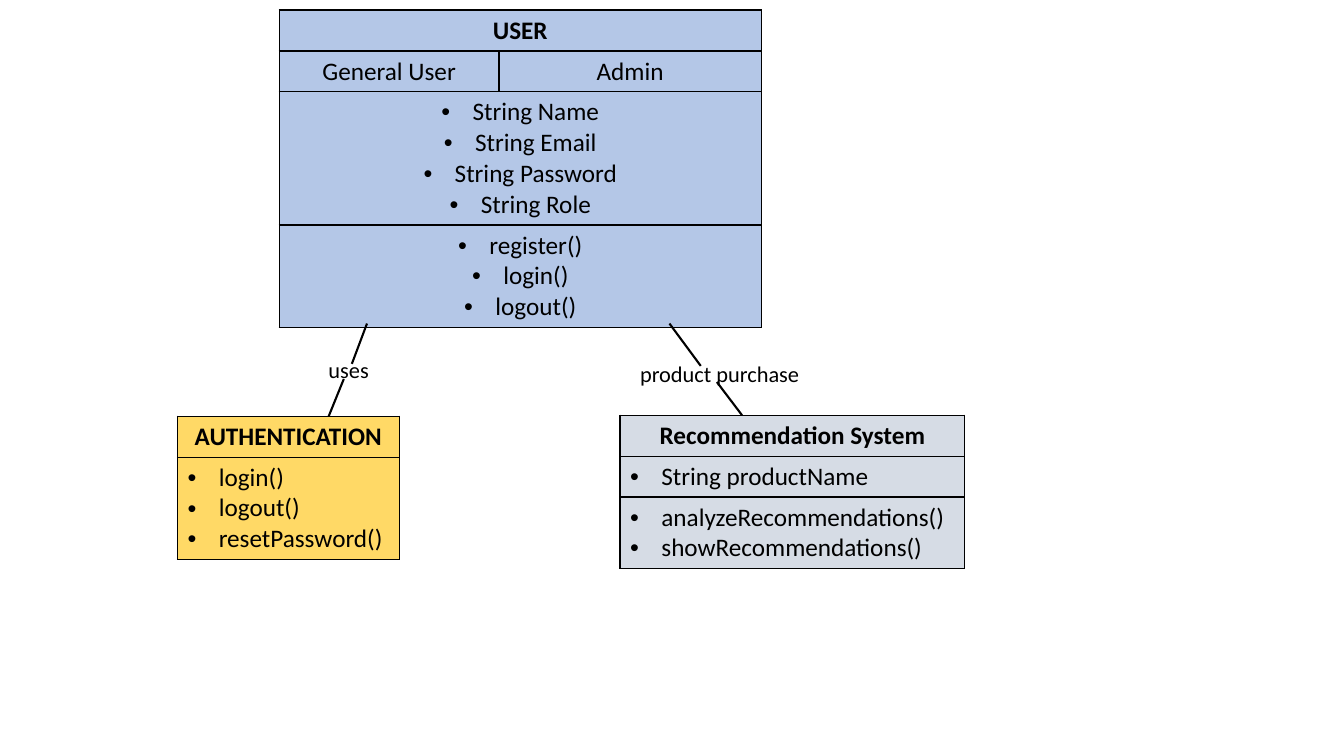
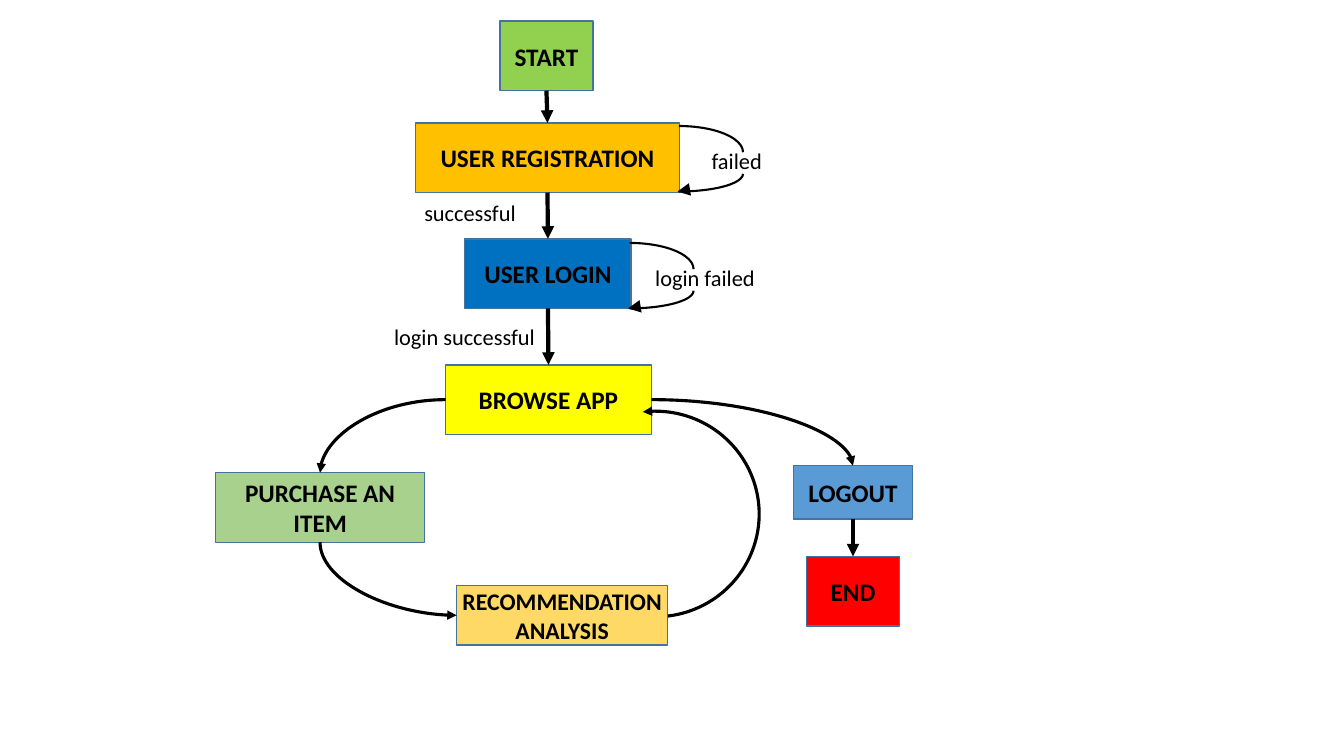
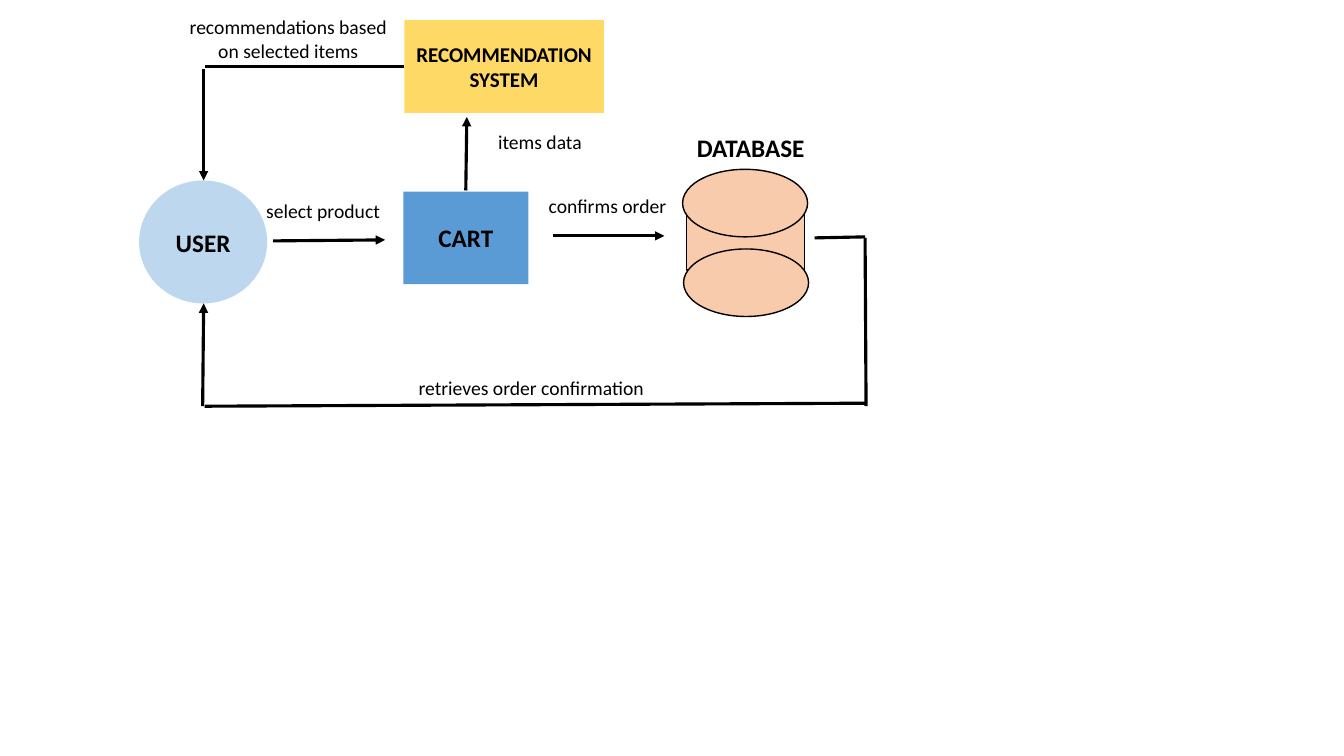
from dataclasses import dataclass

from lxml import etree
from pptx import Presentation
from pptx import util as u
from pptx.dml.color import RGBColor
from pptx.enum import shapes, text
from pptx.oxml.ns import qn


@dataclass(frozen=True)
class Theme:
    """Colours, type sizes and line weights shared by the slides."""
    font: str = "Calibri"
    ink: str = "000000"
    outline: str = "43739E"
    user: str = "B4C7E7"
    gold: str = "FFD966"
    grey: str = "D6DCE5"
    lime: str = "92D050"
    amber: str = "FFC000"
    navy: str = "0070C0"
    yellow: str = "FFFF00"
    green: str = "A9D18E"
    blue: str = "5B9BD5"
    red: str = "FF0000"
    pale: str = "BDD7EE"
    peach: str = "F8CBAD"
    heading: int = 18
    label: int = 16
    caption: int = 14
    thin: float = 1
    link: float = 1.5
    curve: float = 2.25
    arrow: float = 3


THEME = Theme()
LEFT, CENTER = text.PP_ALIGN.LEFT, text.PP_ALIGN.CENTER
RECT, OVAL = shapes.MSO_SHAPE.RECTANGLE, shapes.MSO_SHAPE.OVAL
TOP, WEST, BOTTOM, EAST = range(4)


def apply(target, values):
    """Set attributes of an object from a dict."""
    for name, value in values.items():
        setattr(target, name, value)


def child(parent, tag, **attributes):
    """Append an XML element with the given attributes."""
    return etree.SubElement(parent, qn(tag), attributes)


def write(frame, lines, size, bold=False, align=CENTER, bullets=False):
    """Fill a text frame with one paragraph per line."""
    for index, line in enumerate(lines):
        para = frame.paragraphs[0] if index == 0 else frame.add_paragraph()
        para.alignment = align
        span = para.add_run()
        span.text = line
        apply(span.font, {"name": THEME.font, "size": u.Pt(size), "bold": bold})
        span.font.color.rgb = RGBColor.from_string(THEME.ink)
        if bullets:
            props = para._p.get_or_add_pPr()
            indent = u.Inches(0.31)
            props.set("marL", str(indent))
            props.set("indent", str(-indent))
            child(props, "a:buFont", typeface="Arial")
            child(props, "a:buChar", char="•")


def stroke(shape, width, color=THEME.ink):
    """Give a shape or connector a solid line."""
    shape.line.color.rgb = RGBColor.from_string(color)
    shape.line.width = u.Pt(width)


def arrowhead(shape, end="tailEnd"):
    """Put a triangle on one end of a line."""
    child(shape.line._get_or_add_ln(), f"a:{end}", type="triangle")


def add_box(page, at, fill, lines=(), size=THEME.heading, kind=RECT, outline=None):
    """Add a filled shape with bold centred text."""
    box = page.shapes.add_shape(kind, *map(u.Inches, at))
    box.shadow.inherit = False
    box.fill.solid()
    box.fill.fore_color.rgb = RGBColor.from_string(fill)
    if outline:
        stroke(box, THEME.thin, outline)
    else:
        box.line.fill.background()
    apply(box.text_frame, {
        "word_wrap": True, "vertical_anchor": text.MSO_ANCHOR.MIDDLE,
        "margin_left": 0, "margin_right": 0, "margin_top": 0, "margin_bottom": 0})
    write(box.text_frame, lines, size, bold=True)
    return box


def add_label(page, at, *lines, size=THEME.label, bold=False, align=LEFT):
    """Add a free-standing caption."""
    box = page.shapes.add_textbox(*map(u.Inches, at))
    box.text_frame.word_wrap = True
    write(box.text_frame, lines, size, bold, align)


def add_line(page, start, end, width, head=False, kind=shapes.MSO_CONNECTOR.STRAIGHT):
    """Add a connector between two points."""
    line = page.shapes.add_connector(kind, *map(u.Inches, (*start, *end)))
    stroke(line, width)
    if head:
        arrowhead(line)
    child(line._element.spPr, "a:effectLst")
    return line


def add_flow(page, source, target):
    """Add an arrow from the bottom of one box to the top of the next."""
    line = add_line(page, (0, 0), (1, 1), THEME.arrow, head=True)
    line.begin_connect(source, BOTTOM)
    line.end_connect(target, TOP)


def add_turn(page, side_box, side, end_box, end_site, end="tailEnd"):
    """Add a quarter-turn arrow from the side of one box to an edge of another."""
    line = page.shapes.add_connector(shapes.MSO_CONNECTOR.CURVE, 0, 0, 1, 1)
    line.begin_connect(side_box, side)
    line.end_connect(end_box, end_site)
    line._element.spPr.find(qn("a:prstGeom")).set("prst", "curvedConnector2")
    stroke(line, THEME.curve)
    arrowhead(line, end)
    child(line._element.spPr, "a:effectLst")


def add_arc(page, at, start, sweep_end, width, flip=False):
    """Add an open arc between two angles in degrees."""
    arc = page.shapes.add_shape(shapes.MSO_SHAPE.ARC, *map(u.Inches, at))
    arc.shadow.inherit = False
    arc.fill.background()
    for index, angle in enumerate((start, sweep_end)):
        arc.adjustments[index] = angle * 0.6
    stroke(arc, width)
    if flip:
        arc._element.spPr.find(qn("a:xfrm")).set("flipV", "1")
    return arc


def add_retry(page, left, top, caption, caption_left):
    """Add a loop that returns to the side of a box, with its caption."""
    add_arc(page, (left, top, 1.27, 0.52), 270, 0, THEME.link)
    add_arc(page, (left, top + 0.3, 1.27, 0.35), 270, 0, THEME.link, flip=True)
    add_line(page, (left + 0.74, top + 0.63), (left + 0.62, top + 0.65),
             THEME.arrow, head=True)
    add_label(page, (caption_left, top + 0.16, 2.43, 0.37), caption)


def style_cell(cell, fill):
    """Give a cell a thin border on all sides and a fill."""
    props = cell._tc.get_or_add_tcPr()
    for side in ("lnL", "lnR", "lnT", "lnB"):
        edge = child(props, f"a:{side}", w=str(u.Pt(THEME.thin)))
        child(child(edge, "a:solidFill"), "a:srgbClr", val=THEME.ink)
    cell.fill.solid()
    cell.fill.fore_color.rgb = RGBColor.from_string(fill)


def add_class(page, left, top, widths, fill, rows, align=LEFT):
    """Add a class table; each row is a list of cells, each cell a list of lines."""
    heights = [0.1 + 0.305 * max(map(len, row)) for row in rows]
    frame = page.shapes.add_table(
        len(rows), len(widths),
        *map(u.Inches, (left, top, sum(widths), sum(heights))))
    table = frame.table
    apply(table, {"first_row": False, "horz_banding": False})
    for column, width in zip(table.columns, widths):
        column.width = u.Inches(width)
    for index, (row, height) in enumerate(zip(rows, heights)):
        table.rows[index].height = u.Inches(height)
        for cell in table.rows[index].cells:
            style_cell(cell, fill)
        if len(row) < len(widths):
            table.cell(index, 0).merge(table.cell(index, len(widths) - 1))
        for column, lines in enumerate(row):
            listed = index > 0 and len(row) == 1
            write(table.cell(index, column).text_frame, lines, THEME.heading,
                  bold=index == 0, align=align if listed else CENTER, bullets=listed)


def build_classes(page):
    """Draw the class diagram."""
    add_class(page, 2.77, 0.1, (2.18, 2.6), THEME.user, [
        [["USER"]],
        [["General User"], ["Admin"]],
        [["String Name", "String Email", "String Password", "String Role"]],
        [["register()", "login()", "logout()"]]], align=CENTER)
    add_class(page, 1.76, 4.13, (2.2,), THEME.gold, [
        [["AUTHENTICATION"]],
        [["login()", "logout()", "resetPassword()"]]])
    add_class(page, 6.15, 4.12, (3.42,), THEME.grey, [
        [["Recommendation System"]],
        [["String productName"]],
        [["analyzeRecommendations()", "showRecommendations()"]]])
    for start, end in [((3.64, 3.21), (3.49, 3.61)), ((3.41, 3.76), (3.26, 4.13)),
                       ((6.64, 3.21), (6.95, 3.63)), ((7.11, 3.79), (7.36, 4.12))]:
        add_line(page, start, end, THEME.link)
    add_label(page, (3.16, 3.48, 1.24, 0.37), "uses")
    add_label(page, (6.25, 3.52, 2.39, 0.37), "product purchase")


def build_flow(page):
    """Draw the user flow chart."""
    loop = add_arc(page, (5.47, 4.08, 2.06, 2.04), 263, 83, THEME.curve)

    def step(at, fill, *lines, size=THEME.heading):
        """Add one outlined step."""
        return add_box(page, at, fill, lines, size, outline=THEME.outline)

    start = step((4.96, 0.21, 0.92, 0.69), THEME.lime, "START")
    registration = step((4.12, 1.22, 2.62, 0.69), THEME.amber, "USER REGISTRATION")
    login = step((4.61, 2.37, 1.65, 0.69), THEME.navy, "USER LOGIN")
    browse = step((4.42, 3.62, 2.04, 0.69), THEME.yellow, "BROWSE APP")
    logout = step((7.87, 4.62, 1.18, 0.53), THEME.blue, "LOGOUT")
    finish = step((8, 5.52, 0.92, 0.69), THEME.red, "END")
    purchase = step((2.14, 4.69, 2.07, 0.69), THEME.green, "PURCHASE AN", "ITEM")
    analysis = step((4.53, 5.81, 2.09, 0.59), THEME.gold,
                    "RECOMMENDATION", "ANALYSIS", size=17)
    for source, target in [(start, registration), (registration, login),
                           (login, browse), (logout, finish)]:
        add_flow(page, source, target)
    add_turn(page, browse, WEST, purchase, TOP)
    add_turn(page, browse, EAST, logout, TOP)
    add_turn(page, analysis, WEST, purchase, BOTTOM, end="headEnd")
    arrowhead(loop, "headEnd")
    page.shapes._spTree.append(loop._element)
    add_retry(page, 6.1, 1.25, "failed", 6.96)
    add_retry(page, 5.61, 2.41, "login failed", 6.4)
    add_label(page, (4.11, 1.93, 2.43, 0.37), "successful")
    add_label(page, (3.81, 3.16, 2.43, 0.37), "login successful")


def build_data(page):
    """Draw the data flow diagram."""
    add_box(page, (1.38, 1.79, 1.27, 1.22), THEME.pale, ["USER"], kind=OVAL)
    add_box(page, (4, 1.9, 1.24, 0.92), THEME.blue, ["CART"])
    add_box(page, (4.01, 0.2, 1.98, 0.92), THEME.gold, ["RECOMMENDATION SYSTEM"], 15)
    for kind, at in [(RECT, (6.81, 2.09, 1.17, 0.59)),
                     (OVAL, (6.77, 1.68, 1.24, 0.67)),
                     (OVAL, (6.78, 2.47, 1.24, 0.67))]:
        add_box(page, at, THEME.peach, kind=kind, outline=THEME.ink)
    for start, end, head in [
            ((2.71, 2.39), (3.82, 2.38), True),
            ((5.48, 2.34), (6.59, 2.34), True),
            ((4.62, 1.89), (4.63, 1.16), True),
            ((4.01, 0.66), (2.03, 0.66), False),
            ((2.02, 0.68), (2.02, 1.79), True),
            ((8.08, 2.36), (8.58, 2.35), False),
            ((8.58, 2.36), (8.59, 4.03), False),
            ((8.58, 4), (2.03, 4.03), False),
            ((2.01, 4.03), (2.02, 3.01), True)]:
        add_line(page, start, end, THEME.curve, head)
    add_label(page, (6.44, 1.26, 2.01, 0.4), "DATABASE",
              size=THEME.heading, bold=True, align=CENTER)
    for at, lines in [
            ((2.51, 1.92, 1.39, 0.34), ["select product"]),
            ((3.79, 3.68, 2.96, 0.34), ["retrieves order confirmation"]),
            ((5.33, 1.87, 1.39, 0.34), ["confirms order"]),
            ((4.66, 1.24, 1.39, 0.34), ["items data"]),
            ((0.96, 0.1, 3.8, 0.57), ["recommendations based", "on selected items"])]:
        add_label(page, at, *lines, size=THEME.caption, align=CENTER)


def main():
    """Build and save the deck."""
    deck = Presentation()
    apply(deck, {"slide_width": u.Inches(13.33), "slide_height": u.Inches(7.5)})
    for build in (build_classes, build_flow, build_data):
        build(deck.slides.add_slide(deck.slide_layouts[6]))
    deck.save("out.pptx")


if __name__ == "__main__":
    main()
